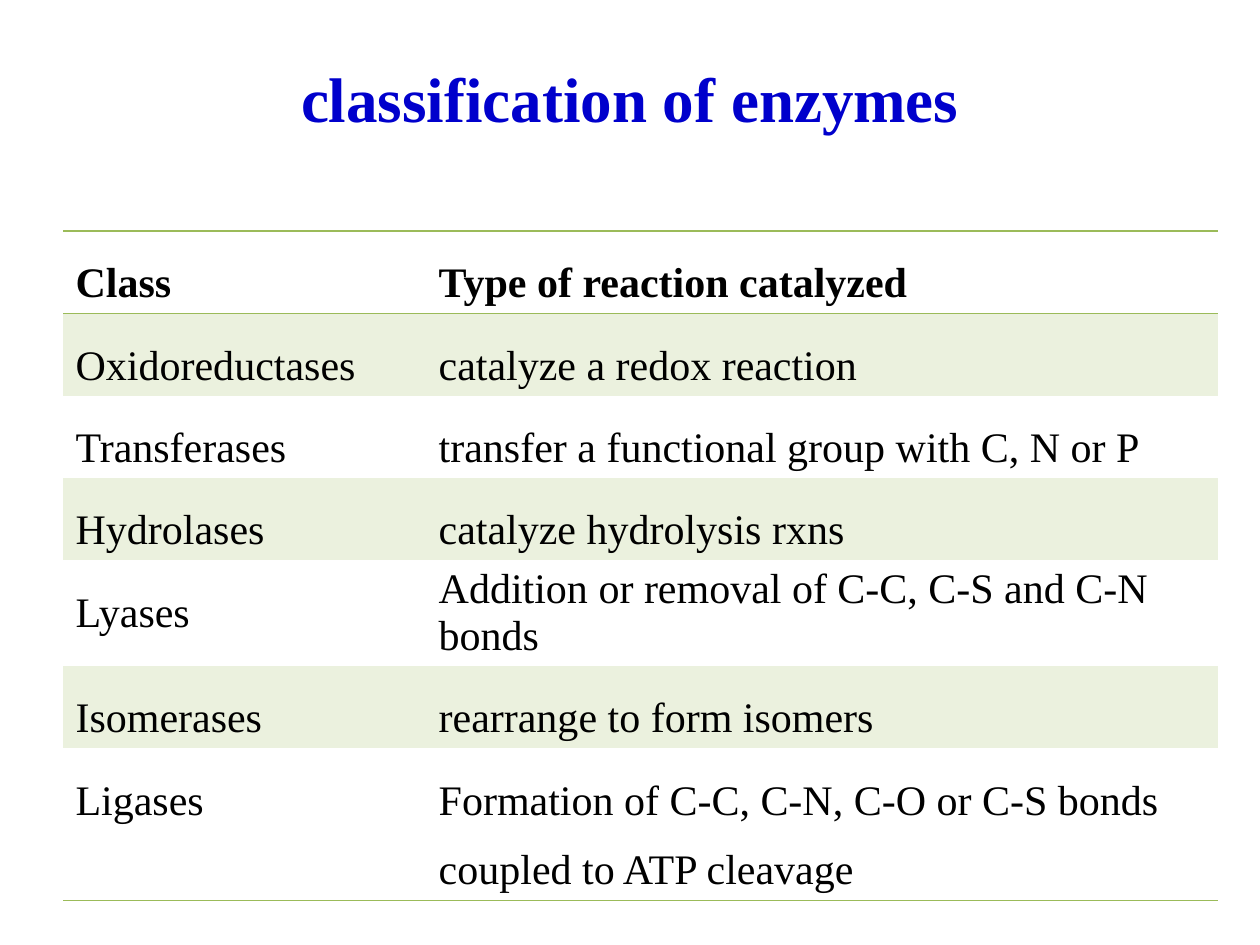
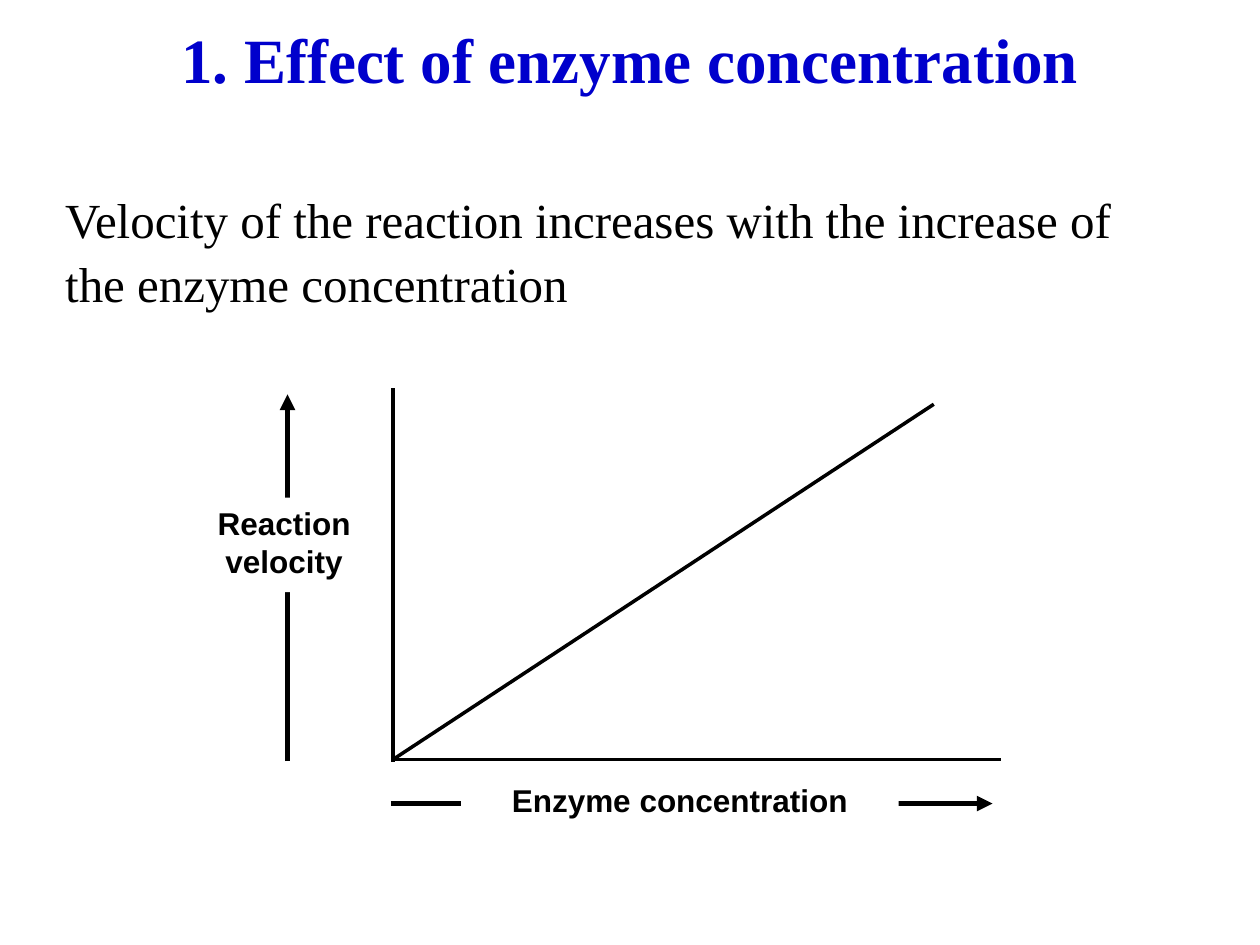
from lxml.etree import SubElement
from pptx import Presentation
from pptx.dml.color import RGBColor
from pptx.enum.shapes import MSO_CONNECTOR as Connector, MSO_SHAPE as Shape
from pptx.enum.text import MSO_ANCHOR as Anchor, MSO_AUTO_SIZE as AutoSize, PP_ALIGN as Align
from pptx.oxml.ns import qn
from pptx.util import Pt

BLUE = RGBColor(0x00, 0x00, 0xCC)
BLACK = RGBColor(0x00, 0x00, 0x00)
WHITE = RGBColor(0xFF, 0xFF, 0xFF)
GREEN = RGBColor(0x9B, 0xBB, 0x59)
PALE_GREEN = RGBColor(0xEB, 0xF1, 0xDE)
SERIF, SANS = "Times New Roman", "Arial"
PLAIN_TABLE_STYLE = "{2D5ABB26-0587-4C30-8999-92F81FD0307C}"

ENZYMES_TITLE = "classification of enzymes"
ENZYMES = [
    ("Class", "Type of reaction catalyzed"),
    ("Oxidoreductases", "catalyze a redox reaction"),
    ("Transferases", "transfer a functional group with C, N or P"),
    ("Hydrolases", "catalyze hydrolysis rxns"),
    ("Lyases", "Addition or removal of C-C, C-S and C-N bonds"),
    ("Isomerases", "rearrange to form isomers"),
    ("Ligases", "Formation of C-C, C-N, C-O or C-S bonds coupled to ATP cleavage"),
]
COLUMN_WIDTHS = (207.5, 452.5)
ROW_HEIGHTS = (47, 47, 47, 47, 60.4, 47, 87)
SINGLE_SPACED = "Addition"

EFFECT_TITLE = "1. Effect of enzyme concentration"
EFFECT_TEXT = "Velocity of the reaction increases with the increase of the enzyme concentration"
ORIGIN = (224.6, 434)
GRAPH_LINES = [
    ((224.6, 222), (224.6, 435.6)),
    ((572, 434), (224, 434)),
    (ORIGIN, (533.6, 231)),
]
AXIS_ARROWS = [((164.3, 435), (164.3, 225.4)), ((223.4, 459.2), (567.2, 459.2))]
AXIS_LABELS = [
    ("Reaction velocity", (108, 284.4, 108.7, 54)),
    ("Enzyme concentration", (263.5, 442.8, 250, 34)),
]


def style(para, font, size, color=BLACK, bold=False):
    """Set the font of a whole paragraph."""
    para.font.name, para.font.size = font, Pt(size)
    para.font.bold, para.font.color.rgb = bold, color


def add_page(deck, title, bounds):
    """Add a title-only slide with the shared title style."""
    page = deck.slides.add_slide(deck.slide_layouts[5])
    box = page.shapes.title
    box.left, box.top, box.width, box.height = map(Pt, bounds)
    box.text = title
    frame = box.text_frame
    frame.auto_size, frame.vertical_anchor = AutoSize.NONE, Anchor.MIDDLE
    para = frame.paragraphs[0]
    para.alignment = Align.CENTER
    style(para, SERIF, 36, BLUE, True)
    return page


def set_borders(cell, top, bottom):
    """Draw the requested horizontal borders of a cell in green."""
    properties = cell._tc.get_or_add_tcPr()
    sides = [side for side, wanted in (("lnT", top), ("lnB", bottom)) if wanted]
    for position, side in enumerate(sides):
        line = SubElement(properties, qn(f"a:{side}"), w=str(Pt(1)))
        fill = SubElement(line, qn("a:solidFill"))
        SubElement(fill, qn("a:srgbClr"), val=str(GREEN))
        properties.insert(position, line)


def add_enzyme_table(page):
    """Add the table of enzyme classes with alternating bands."""
    frame = page.shapes.add_table(
        len(ENZYMES), len(COLUMN_WIDTHS), Pt(36), Pt(132),
        Pt(sum(COLUMN_WIDTHS)), Pt(sum(ROW_HEIGHTS)))
    table = frame.table
    table.horz_banding = False
    table._tbl.tblPr.find(qn("a:tableStyleId")).text = PLAIN_TABLE_STYLE
    for column, width in zip(table.columns, COLUMN_WIDTHS):
        column.width = Pt(width)
    for index, (texts, height) in enumerate(zip(ENZYMES, ROW_HEIGHTS)):
        row = table.rows[index]
        row.height = Pt(height)
        for cell, text in zip(row.cells, texts):
            cell.text = text
            para = cell.text_frame.paragraphs[0]
            para.line_spacing = 1.0 if text.startswith(SINGLE_SPACED) else 1.5
            style(para, SERIF, 24, bold=index == 0)
            if index % 2:
                cell.fill.solid()
                cell.fill.fore_color.rgb = PALE_GREEN
            else:
                cell.fill.background()
            set_borders(cell, index == 0, index in (0, len(ENZYMES) - 1))


def add_line(page, start, end, width, arrow=False):
    """Add a black straight line, with an arrowhead at its end if asked."""
    line = page.shapes.add_connector(Connector.STRAIGHT, *map(Pt, (*start, *end)))
    line.line.color.rgb, line.line.width = BLACK, Pt(width)
    if arrow:
        SubElement(line.line._get_or_add_ln(), qn("a:tailEnd"), type="triangle")
    SubElement(line._element.spPr, qn("a:effectLst"))


def add_axis_label(page, text, bounds):
    """Add a white label that interrupts an axis arrow."""
    box = page.shapes.add_shape(Shape.RECTANGLE, *map(Pt, bounds))
    box.shadow.inherit = False
    box.fill.solid()
    box.fill.fore_color.rgb = WHITE
    box.line.fill.background()
    frame = box.text_frame
    frame.text, frame.word_wrap, frame.vertical_anchor = text, True, Anchor.TOP
    para = frame.paragraphs[0]
    para.alignment = Align.CENTER
    style(para, SANS, 18, bold=True)


def add_effect_text(page):
    """Add the statement above the graph."""
    box = page.shapes.add_textbox(Pt(30.2), Pt(102.2), Pt(651), Pt(84.2))
    frame = box.text_frame
    frame.text, frame.word_wrap = EFFECT_TEXT, True
    para = frame.paragraphs[0]
    para.line_spacing = 1.08
    style(para, SERIF, 28)


def main():
    """Build and save the deck."""
    deck = Presentation()
    deck.slide_width, deck.slide_height = Pt(720), Pt(540)

    add_enzyme_table(add_page(deck, ENZYMES_TITLE, (36, 21.6, 648, 68.4)))

    page = add_page(deck, EFFECT_TITLE, (0, 0, 720, 67))
    add_effect_text(page)
    for start, end in AXIS_ARROWS:
        add_line(page, start, end, 3, arrow=True)
    for text, bounds in AXIS_LABELS:
        add_axis_label(page, text, bounds)
    for start, end in GRAPH_LINES:
        add_line(page, start, end, 2)

    deck.save("out.pptx")


if __name__ == "__main__":
    main()
